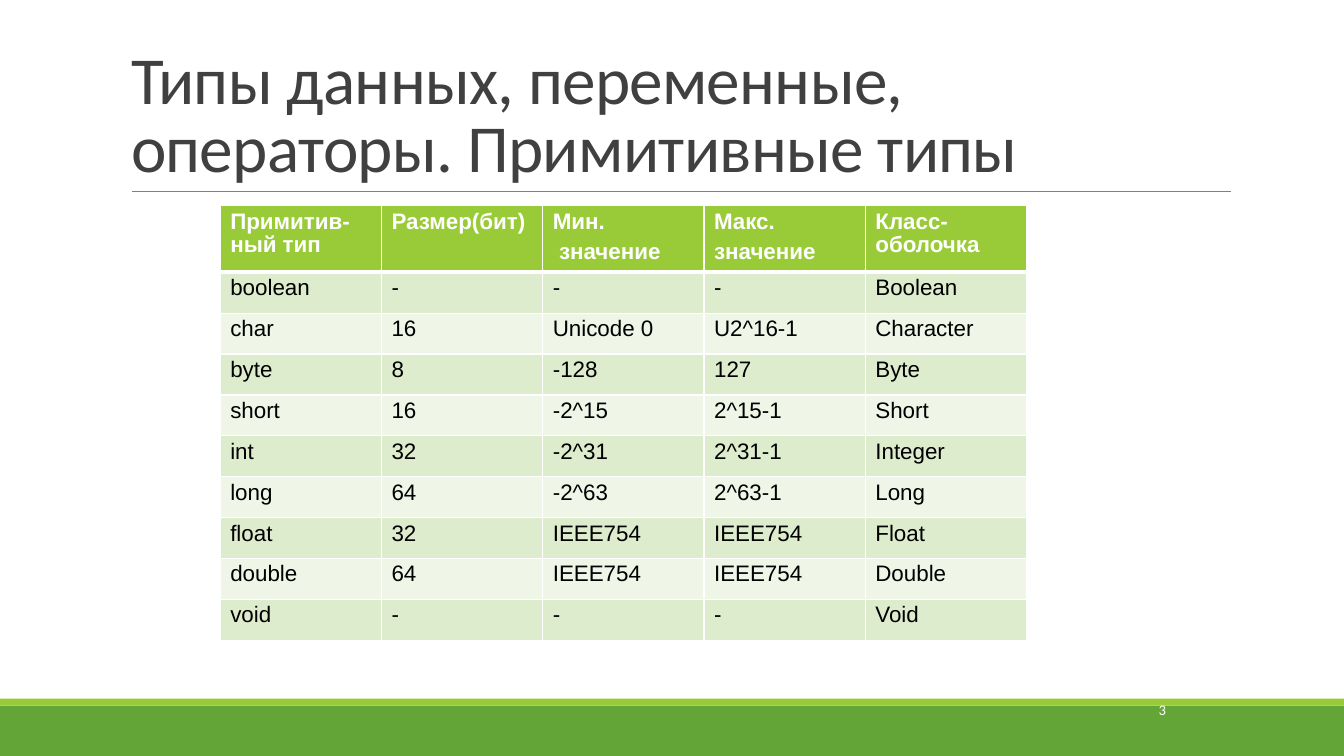
from lxml import etree
from pptx import Presentation, util as u
from pptx.dml.color import RGBColor
from pptx.enum import shapes, text
from pptx.oxml import ns

GREEN, LIME, WHITE, BLACK = "63A537", "99CB38", "FFFFFF", "000000"
BANDS = ["DEECCE", "EFF6E8"]
HEADER = ["Примитив-ный тип", "Размер(бит)", "Мин.\n значение",
          "Макс.\nзначение", "Класс-оболочка"]
TYPES = [
    ["boolean", "-", "-", "-", "Boolean"],
    ["char", "16", "Unicode 0", "U2^16-1", "Character"],
    ["byte", "8", "-128", "127", "Byte"],
    ["short", "16", "-2^15", "2^15-1", "Short"],
    ["int", "32", "-2^31", "2^31-1", "Integer"],
    ["long", "64", "-2^63", "2^63-1", "Long"],
    ["float", "32", "IEEE754", "IEEE754", "Float"],
    ["double", "64", "IEEE754", "IEEE754", "Double"],
    ["void", "-", "-", "-", "Void"],
]


def color(value):
    return RGBColor.from_string(value)


def points(*values):
    return [u.Pt(value) for value in values]


class SlideBuilder:
    """Draws styled elements on the current slide, with lengths in points."""

    def __init__(self, slide, heading_font, table_font):
        self.slide = slide
        self.heading_font = heading_font
        self.table_font = table_font

    def run(self, paragraph, content, size, ink, font, bold=False):
        run = paragraph.add_run()
        run.text = content
        run.font.name = font
        run.font.size = u.Pt(size)
        run.font.bold = bold
        run.font.color.rgb = color(ink)
        return run

    def bar(self, left, top, width, height, fill):
        shape = self.slide.shapes.add_shape(
            shapes.MSO_SHAPE.RECTANGLE, *points(left, top, width, height))
        shape.shadow.inherit = False
        shape.fill.solid()
        shape.fill.fore_color.rgb = color(fill)
        shape.line.fill.background()

    def rule(self, left, right, top, ink, width):
        connector = self.slide.shapes.add_connector(
            shapes.MSO_CONNECTOR.STRAIGHT, *points(left, top, right, top))
        connector.line.color.rgb = color(ink)
        connector.line.width = u.Pt(width)
        etree.SubElement(connector._element.spPr, ns.qn("a:effectLst"))

    def title(self, content, left, top, width, height):
        shape = self.slide.shapes.title
        shape.left, shape.top, shape.width, shape.height = points(left, top, width, height)
        frame = shape.text_frame
        frame.word_wrap = True
        frame.auto_size = text.MSO_AUTO_SIZE.NONE
        frame.vertical_anchor = text.MSO_ANCHOR.BOTTOM
        paragraph = frame.paragraphs[0]
        paragraph.alignment = text.PP_ALIGN.LEFT
        paragraph.line_spacing = 0.85
        run = self.run(paragraph, content, 48, "404040", self.heading_font)
        run.font._element.set("spc", "-50")

    def page_number(self, number, left, top, width, height):
        box = self.slide.shapes.add_textbox(*points(left, top, width, height))
        frame = box.text_frame
        frame.word_wrap = True
        frame.vertical_anchor = text.MSO_ANCHOR.MIDDLE
        paragraph = frame.paragraphs[0]
        paragraph.alignment = text.PP_ALIGN.RIGHT
        self.run(paragraph, number, 10.5, WHITE, self.heading_font)

    def borders(self, cell, bottom):
        properties = cell._tc.get_or_add_tcPr()
        widths = {"a:lnL": 1, "a:lnR": 1, "a:lnT": 1, "a:lnB": bottom}
        for position, (side, width) in enumerate(widths.items()):
            line = etree.Element(ns.qn(side), w=str(u.Pt(width)))
            fill = etree.SubElement(line, ns.qn("a:solidFill"))
            etree.SubElement(fill, ns.qn("a:srgbClr"), val=WHITE)
            properties.insert(position, line)

    def cell(self, cell, content, fill, ink, header):
        cell.fill.solid()
        cell.fill.fore_color.rgb = color(fill)
        self.borders(cell, 3 if header else 1)
        frame = cell.text_frame
        for index, line in enumerate(content.split("\n")):
            paragraph = frame.add_paragraph() if index else frame.paragraphs[0]
            paragraph.line_spacing = 0.93
            if index:
                paragraph.space_before = u.Pt(5)
            self.run(paragraph, line, 16, ink, self.table_font, header)

    def table(self, rows, left, top, column_width, header_height, row_height):
        columns = len(rows[0])
        height = header_height + row_height * (len(rows) - 1)
        table = self.slide.shapes.add_table(
            len(rows), columns, *points(left, top, column_width * columns, height)).table
        for column in table.columns:
            column.width = u.Pt(column_width)
        for index, values in enumerate(rows):
            header = index == 0
            table.rows[index].height = u.Pt(header_height if header else row_height)
            fill = LIME if header else BANDS[(index - 1) % 2]
            for column, value in enumerate(values):
                self.cell(table.cell(index, column), value, fill,
                          WHITE if header else BLACK, header)


def main():
    presentation = Presentation()
    presentation.slide_width, presentation.slide_height = points(960, 540)
    slide = presentation.slides.add_slide(presentation.slide_layouts[5])
    builder = SlideBuilder(slide, "Calibri", "Arial")
    builder.bar(0, 504, 960, 36, GREEN)
    builder.bar(0, 499, 960, 5, LIME)
    builder.rule(94.3, 879, 136.8, "808080", 0.5)
    builder.title("Типы данных, переменные, операторы. Примитивные типы",
                  86.4, 22.3, 792, 114.5)
    builder.table([HEADER] + TYPES, 157.3, 147, 115.2, 47.5, 29.2)
    builder.page_number("3", 762, 492, 78, 29)
    presentation.save("out.pptx")


if __name__ == "__main__":
    main()
